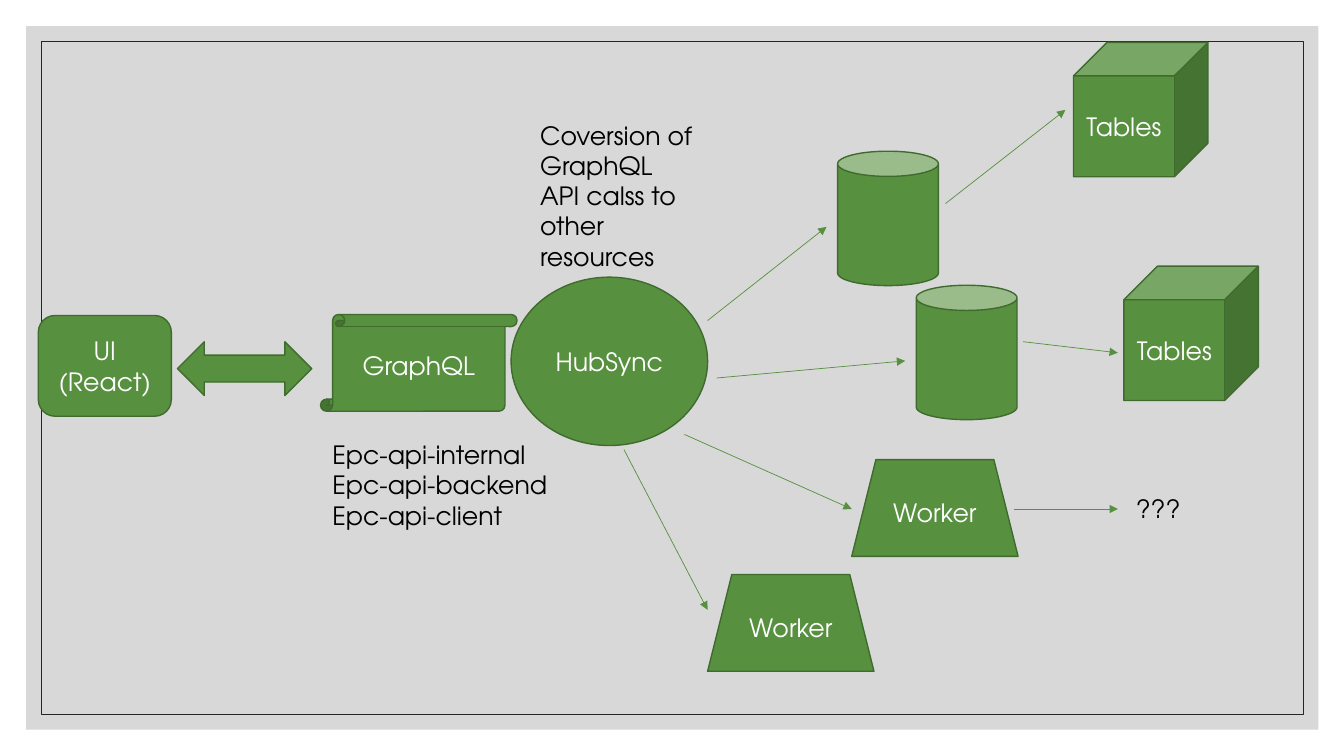
from typing import NamedTuple

from lxml import etree
from pptx import Presentation, util as u
from pptx.dml.color import RGBColor
from pptx.enum import shapes, text
from pptx.oxml.ns import qn

CELL = u.Inches(1 / 3)  # the slide is 40 columns by 22.5 rows
COLUMNS, ROWS = 40, 22.5
FONT, FONT_SIZE = "TeX Gyre Adventor", 18
GREEN, DARK_GREEN = "57903F", "406B2F"
WHITE, BLACK, GREY, FRAME_LINE = "FFFFFF", "000000", "BFBFBF", "262626"
KIND = shapes.MSO_SHAPE


class Node(NamedTuple):
    kind: shapes.MSO_SHAPE
    column: float
    row: float
    columns: float
    rows: float
    label: str = ""


class Note(NamedTuple):
    column: float
    row: float
    columns: float
    rows: float
    label: str
    wrap: bool = False


class Arrow(NamedTuple):
    start_column: float
    start_row: float
    end_column: float
    end_row: float


PANEL = Node(KIND.RECTANGLE, 0.78, 0.78, 38.46, 20.94)
FRAME = Node(KIND.RECTANGLE, 1.23, 1.23, 37.56, 20.04)

NODES = [
    Node(KIND.OVAL, 15.21, 8.25, 5.85, 5.01, "HubSync"),
    Node(KIND.VERTICAL_SCROLL, 9.54, 9.36, 5.85, 2.88, "GraphQL"),
    Node(KIND.CAN, 24.93, 4.5, 3, 4),
    Node(KIND.CAN, 27.27, 8.49, 3, 4),
    Node(KIND.TRAPEZOID, 25.35, 13.68, 4.95, 2.88, "Worker"),
    Node(KIND.TRAPEZOID, 21.06, 17.1, 4.95, 2.88, "Worker"),
    Node(KIND.CUBE, 31.95, 1.26, 4, 4, "Tables"),
    Node(KIND.CUBE, 33.45, 7.92, 4, 4, "Tables"),
    Node(KIND.LEFT_RIGHT_ARROW, 5.28, 10.17, 4, 1.6),
    Node(KIND.ROUNDED_RECTANGLE, 1.14, 9.39, 3.96, 3, "UI\n(React)"),
]

ARROWS = [
    Arrow(21.06, 9.54, 24.6, 6.75),
    Arrow(21.33, 11.25, 26.94, 10.74),
    Arrow(20.37, 12.93, 25.35, 15.15),
    Arrow(18.57, 13.38, 21.06, 18.15),
    Arrow(28.14, 6.06, 31.71, 3.27),
    Arrow(30.45, 10.17, 33.27, 10.5),
    Arrow(30.18, 15.15, 33.27, 15.15),
]

NOTES = [
    Note(15.78, 3.42, 5.13, 4.86,
         "Coversion of GraphQL API calss to other resources", wrap=True),
    Note(9.6, 12.93, 7.08, 3.03,
         "Epc-api-internal\nEpc-api-backend\nEpc-api-client"),
    Note(33.51, 14.52, 1.95, 1.2, "???"),
]


def cells(*counts: float) -> list[u.Emu]:
    return [u.Emu(round(count * CELL)) for count in counts]


def paint(target, colour: str) -> None:
    """Give a fill or a line one solid colour."""
    fill = target if hasattr(target, "solid") else target.fill
    fill.solid()
    fill.fore_color.rgb = RGBColor.from_string(colour)


def write(frame, label: str, colour: str, align) -> None:
    frame.text = label
    for para in frame.paragraphs:
        para.alignment = align
        for span in para.runs:
            span.font.name = FONT
            span.font.size = u.Pt(FONT_SIZE)
            span.font.color.rgb = RGBColor.from_string(colour)


def add_node(page, node: Node, fill: str | None = GREEN,
             line: str | None = DARK_GREEN, weight: float = 1):
    box = page.shapes.add_shape(
        node.kind, *cells(node.column, node.row, node.columns, node.rows))
    box.shadow.inherit = False
    if fill:
        paint(box.fill, fill)
    else:
        box.fill.background()
    if line:
        paint(box.line, line)
        box.line.width = u.Pt(weight)
    else:
        box.line.fill.background()
    if node.label:
        box.text_frame.vertical_anchor = text.MSO_ANCHOR.MIDDLE
        write(box.text_frame, node.label, WHITE, text.PP_ALIGN.CENTER)
    return box


def add_backdrop(page) -> None:
    """Draw the 60 % opaque panel and the thin frame inside it."""
    panel = add_node(page, PANEL, fill=GREY, line=None)
    colour = panel._element.spPr.find(qn("a:solidFill"))[0]
    etree.SubElement(colour, qn("a:alpha"), val="60000")
    add_node(page, FRAME, fill=None, line=FRAME_LINE, weight=0.5)


def add_arrow(page, arrow: Arrow) -> None:
    connector = page.shapes.add_connector(
        shapes.MSO_CONNECTOR.STRAIGHT, *cells(*arrow))
    paint(connector.line, GREEN)
    connector.line.width = u.Pt(0.5)
    properties = connector._element.spPr
    etree.SubElement(properties.find(qn("a:ln")), qn("a:tailEnd"), type="triangle")
    etree.SubElement(properties, qn("a:effectLst"))


def add_note(page, note: Note) -> None:
    box = page.shapes.add_textbox(
        *cells(note.column, note.row, note.columns, note.rows))
    frame = box.text_frame
    frame.word_wrap = note.wrap
    frame.auto_size = text.MSO_AUTO_SIZE.SHAPE_TO_FIT_TEXT
    write(frame, note.label, BLACK, text.PP_ALIGN.LEFT)


def main() -> None:
    deck = Presentation()
    deck.slide_width, deck.slide_height = cells(COLUMNS, ROWS)
    page = deck.slides.add_slide(deck.slide_layouts[6])
    add_backdrop(page)
    for node in NODES:
        add_node(page, node)
    for arrow in ARROWS:
        add_arrow(page, arrow)
    for note in NOTES:
        add_note(page, note)
    deck.save("out.pptx")


if __name__ == "__main__":
    main()
